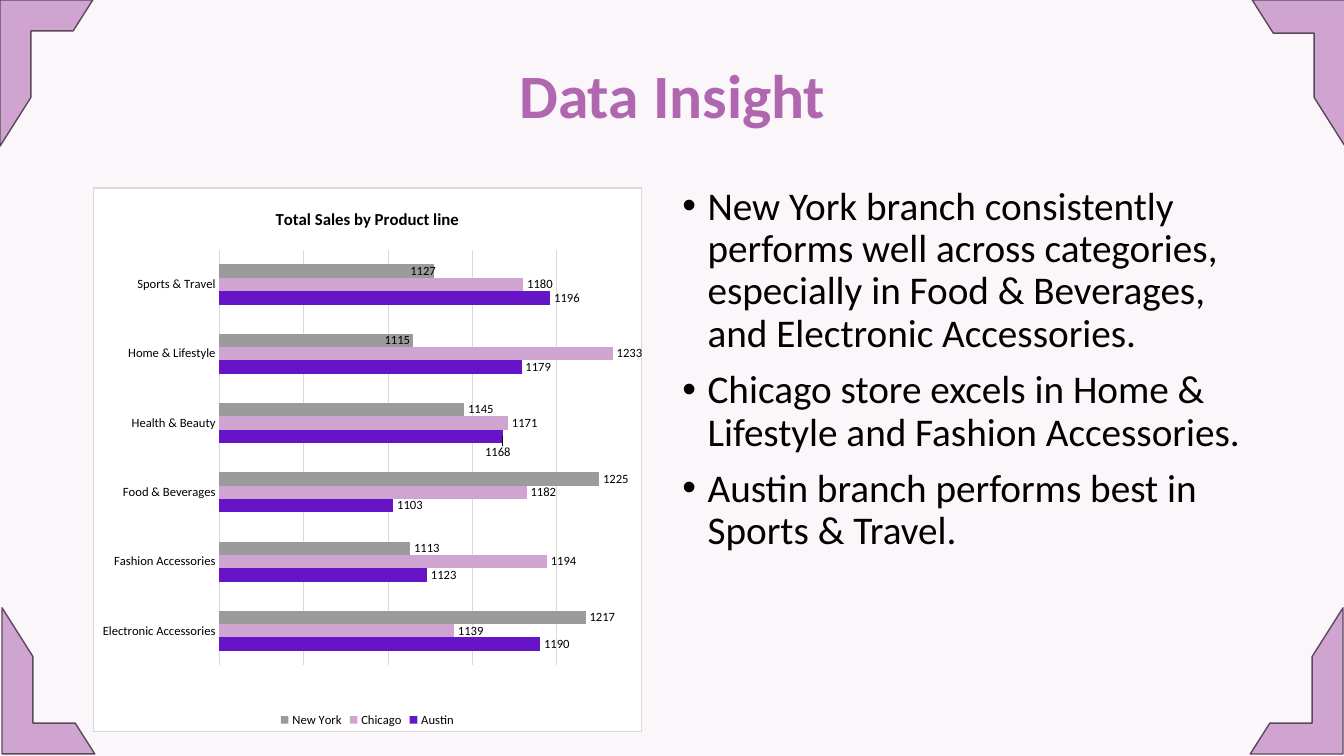
import dataclasses

import lxml.etree
import pptx
import pptx.chart.data
import pptx.dml.color
import pptx.enum.chart
import pptx.enum.shapes
import pptx.enum.text
import pptx.oxml
import pptx.oxml.ns
import pptx.util

Inches = pptx.util.Inches
Pt = pptx.util.Pt
RGBColor = pptx.dml.color.RGBColor
qn = pptx.oxml.ns.qn

FONT = "Calibri"
BACKGROUND = RGBColor(0xFA, 0xF6, 0xFA)
MAUVE = RGBColor(0xD0, 0xA4, 0xD0)
CORNER_LINE = RGBColor(0x5B, 0x48, 0x5B)
TITLE_COLOR = RGBColor(0xB0, 0x67, 0xB0)
VIOLET = RGBColor(0x66, 0x14, 0xC7)
GREY = RGBColor(0x9B, 0x9B, 0x9B)
GRID = RGBColor(0xD9, 0xD9, 0xD9)
BLACK = RGBColor(0, 0, 0)


@dataclasses.dataclass
class Corner:
    left: float
    top: float
    flip: str = ""
    rotation: float = 0
    thickness: float = 0.333


@dataclasses.dataclass
class Branch:
    name: str
    color: RGBColor
    sales: tuple[int, ...]
    # category index -> label shift, as fractions of the chart size
    label_shifts: dict[int, tuple[float, float]] = dataclasses.field(default_factory=dict)


CORNERS = [
    Corner(0, 0),
    Corner(0.02, 6.03, flip="flipV"),
    Corner(12.42, 0, flip="flipH", thickness=0.358),
    Corner(12.4, 6.03, rotation=180),
]
PRODUCT_LINES = ["Electronic Accessories", "Fashion Accessories", "Food & Beverages",
                 "Health & Beauty", "Home & Lifestyle", "Sports & Travel"]
BRANCHES = [
    Branch("Austin", VIOLET, (1190, 1123, 1103, 1168, 1179, 1196), {3: (-0.04, 0.03)}),
    Branch("Chicago", MAUVE, (1139, 1194, 1182, 1171, 1233, 1180)),
    Branch("New York", GREY, (1217, 1113, 1225, 1145, 1115, 1127),
           {4: (-0.06, 0), 5: (-0.05, 0)}),
]
INSIGHTS = [
    "New York branch consistently performs well across categories, "
    "especially in Food & Beverages, and Electronic Accessories.",
    "Chicago store excels in Home & Lifestyle and Fashion Accessories.",
    "Austin branch performs best in Sports & Travel.",
]


def set_font(font, size: float, color: RGBColor = BLACK, bold: bool = False) -> None:
    font.name = FONT
    font.size = Pt(size)
    font.bold = bold
    font.color.rgb = color


def set_line(line, color: RGBColor, width: float) -> None:
    line.color.rgb = color
    line.width = Pt(width)


def add_text(slide, lines: list[str], box: tuple[float, ...], *, size: float,
             color: RGBColor = BLACK, bold: bool = False, bullet: bool = False,
             align=pptx.enum.text.PP_ALIGN.LEFT,
             anchor=pptx.enum.text.MSO_ANCHOR.TOP) -> None:
    frame = slide.shapes.add_textbox(*map(Inches, box)).text_frame
    frame.word_wrap = True
    frame.vertical_anchor = anchor
    for index, line in enumerate(lines):
        paragraph = frame.add_paragraph() if index else frame.paragraphs[0]
        paragraph.alignment = align
        paragraph.line_spacing = 0.9
        run = paragraph.add_run()
        run.text = line
        set_font(run.font, size, color, bold)
        if bullet:
            paragraph.space_before = Pt(10)
            properties = paragraph._p.get_or_add_pPr()
            properties.set("marL", str(Inches(0.25)))
            properties.set("indent", str(-Inches(0.25)))
            lxml.etree.SubElement(properties, qn("a:buFont")).set("typeface", "Arial")
            lxml.etree.SubElement(properties, qn("a:buChar")).set("char", "•")


def add_corner(slide, corner: Corner) -> None:
    shape = slide.shapes.add_shape(
        pptx.enum.shapes.MSO_SHAPE.HALF_FRAME, Inches(corner.left), Inches(corner.top),
        Inches(0.92), Inches(1.45))
    shape.shadow.inherit = False
    shape.fill.solid()
    shape.fill.fore_color.rgb = MAUVE
    set_line(shape.line, CORNER_LINE, 1)
    shape.adjustments[0] = corner.thickness
    shape.rotation = corner.rotation
    if corner.flip:
        shape._element.spPr.xfrm.set(corner.flip, "1")


def make_layout(**values: float | str):
    """Build a manual chart layout from its settings, in schema order."""
    layout = pptx.oxml.parse_xml(
        '<c:layout xmlns:c="http://schemas.openxmlformats.org/drawingml/2006/chart">'
        "<c:manualLayout/></c:layout>")
    for name, value in values.items():
        lxml.etree.SubElement(layout[0], qn(f"c:{name}")).set("val", str(value))
    return layout


def style_series(series, branch: Branch) -> None:
    outside = pptx.enum.chart.XL_LABEL_POSITION.OUTSIDE_END
    series.format.fill.solid()
    series.format.fill.fore_color.rgb = branch.color
    labels = series.data_labels
    labels.show_value = True
    labels.position = outside
    set_font(labels.font, 9)
    for index, (x, y) in branch.label_shifts.items():
        label = series.points[index].data_label
        set_font(label.font, 9)
        label.position = outside
        element = labels._element.find(f"{qn('c:dLbl')}[{qn('c:idx')}][@val]")
        for element in labels._element.findall(qn("c:dLbl")):
            if element.find(qn("c:idx")).get("val") == str(index):
                element.find(qn("c:idx")).addnext(make_layout(x=x, y=y))


def add_sales_chart(slide) -> None:
    data = pptx.chart.data.CategoryChartData()
    data.categories = PRODUCT_LINES
    for branch in BRANCHES:
        data.add_series(branch.name, branch.sales)
    chart = slide.shapes.add_chart(
        pptx.enum.chart.XL_CHART_TYPE.BAR_CLUSTERED, Inches(0.92), Inches(1.86),
        Inches(5.45), Inches(5.4), data).chart
    set_font(chart.font, 10)

    # Title and legend
    chart.has_title = True
    title = chart.chart_title.text_frame
    title.text = "Total Sales by Product line"
    set_font(title.paragraphs[0].runs[0].font, 12, bold=True)
    chart.chart_title.include_in_layout = False
    chart.has_legend = True
    chart.legend.position = pptx.enum.chart.XL_LEGEND_POSITION.BOTTOM
    chart.legend.include_in_layout = False
    set_font(chart.legend.font, 9)

    # Axes
    category_axis, value_axis = chart.category_axis, chart.value_axis
    category_axis.major_tick_mark = pptx.enum.chart.XL_TICK_MARK.NONE
    set_line(category_axis.format.line, GRID, 0.75)
    set_font(category_axis.tick_labels.font, 9)
    value_axis.minimum_scale, value_axis.maximum_scale = 1000, 1250
    value_axis.major_unit = 50
    value_axis.visible = False
    set_line(value_axis.major_gridlines.format.line, GRID, 0.75)

    # Bars
    plot = chart.plots[0]
    plot.gap_width = 219
    plot.overlap = 0
    plot.vary_by_categories = False
    for series, branch in zip(plot.series, BRANCHES):
        style_series(series, branch)

    # Plot position, chart background and border
    space = chart._chartSpace
    plot_area = space.chart.plotArea
    for layout in plot_area.findall(qn("c:layout")):
        plot_area.remove(layout)
    plot_area.insert(0, make_layout(layoutTarget="inner", xMode="edge", yMode="edge",
                                    x=0.23, y=0.114, w=0.77, h=0.765))
    space.find(qn("c:txPr")).addprevious(pptx.oxml.parse_xml(
        '<c:spPr xmlns:c="http://schemas.openxmlformats.org/drawingml/2006/chart" '
        'xmlns:a="http://schemas.openxmlformats.org/drawingml/2006/main">'
        '<a:solidFill><a:srgbClr val="FFFFFF"/></a:solidFill>'
        f'<a:ln w="{Pt(0.75)}"><a:solidFill><a:srgbClr val="{GRID}"/></a:solidFill></a:ln>'
        "</c:spPr>"))


def main() -> None:
    presentation = pptx.Presentation()
    presentation.slide_width, presentation.slide_height = Inches(13.33), Inches(7.5)
    slide = presentation.slides.add_slide(presentation.slide_layouts[6])
    slide.background.fill.solid()
    slide.background.fill.fore_color.rgb = BACKGROUND
    for corner in CORNERS:
        add_corner(slide, corner)
    add_text(slide, ["Data Insight"], (0.92, 0.4, 11.5, 1.16), size=44, color=TITLE_COLOR,
             bold=True, align=pptx.enum.text.PP_ALIGN.CENTER,
             anchor=pptx.enum.text.MSO_ANCHOR.MIDDLE)
    add_text(slide, INSIGHTS, (6.67, 1.8, 5.75, 5.52), size=28, bullet=True)
    add_sales_chart(slide)
    presentation.save("out.pptx")


if __name__ == "__main__":
    main()
